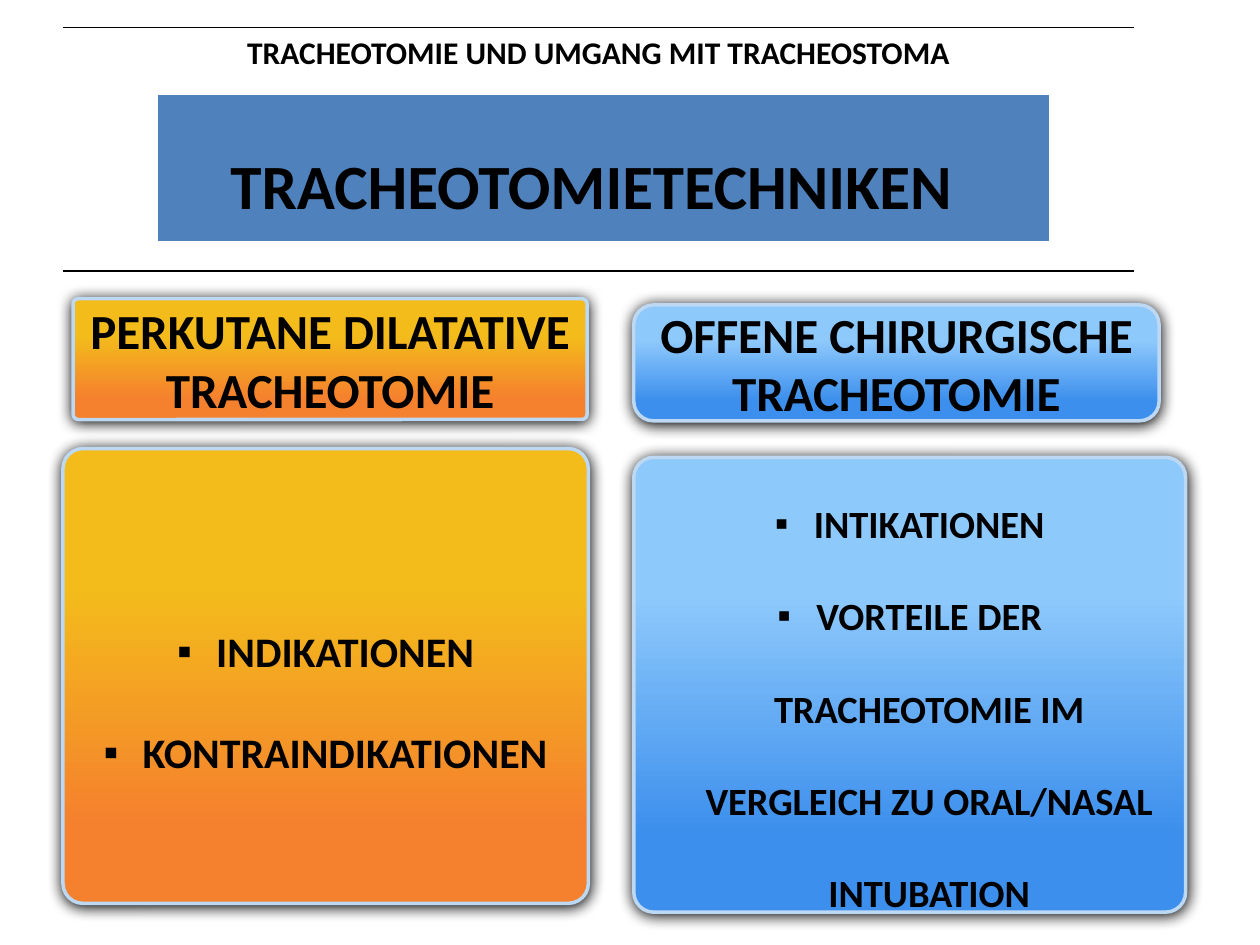
from lxml import etree
from pptx import Presentation
from pptx.dml.color import RGBColor
from pptx.enum.shapes import MSO_SHAPE as Shape
from pptx.enum.text import MSO_ANCHOR as Anchor, PP_ALIGN as Align
from pptx.oxml import parse_xml
from pptx.oxml.ns import nsdecls, qn
from pptx.util import Inches, Pt

BLACK, WHITE, BLUE, RIM = "000000", "FFFFFF", "4F81BD", "BDD8F3"
ORANGE_STOPS = ((0.17, "F5802D"), (0.70, "F3BC1B"))
BLUE_STOPS = ((0.17, "3C8FED"), (0.70, "8EC9FB"))


def colour(value):
    """Turn a hex string into a colour."""
    return RGBColor.from_string(value)


def style_text(para, text, size):
    """Write one centred, bold black paragraph."""
    para.text = text
    para.alignment = Align.CENTER
    for name, value in {"name": "Calibri", "size": Pt(size), "bold": True}.items():
        setattr(para.font, name, value)
    para.font.color.rgb = colour(BLACK)


def add_bullet(para):
    """Give a paragraph a square bullet with a hanging indent."""
    props = para._p.get_or_add_pPr()
    indent = Inches(0.31)
    props.set("marL", str(indent))
    props.set("indent", str(-indent))
    para.line_spacing = 2.0
    etree.SubElement(props, qn("a:buFont")).set("typeface", "Arial")
    etree.SubElement(props, qn("a:buChar")).set("char", "▪")


def add_shadow(box):
    """Give a shape a soft black shadow just below it."""
    box.shadow.inherit = False
    effects = box.element.spPr.find(qn("a:effectLst"))
    effects.append(parse_xml(
        f'<a:outerShdw {nsdecls("a")} blurRad="{Pt(8.5)}" dist="{Pt(1)}" '
        f'dir="5400000" rotWithShape="0"><a:srgbClr val="{BLACK}"/></a:outerShdw>'))


def add_panel(page, area, stops, lines, size, bulleted=False, corner=0.044):
    """Draw a rounded gradient panel with its text."""
    box = page.shapes.add_shape(Shape.ROUNDED_RECTANGLE, *map(Inches, area))
    box.adjustments[0] = corner
    box.fill.gradient()
    box.fill.gradient_angle = 90
    for stop, (position, shade) in zip(box.fill.gradient_stops, stops):
        stop.position = position
        stop.color.rgb = colour(shade)
    box.line.color.rgb = colour(RIM)
    box.line.width = Pt(2)
    add_shadow(box)
    frame = box.text_frame
    frame.word_wrap = True
    frame.vertical_anchor = Anchor.MIDDLE
    for index, line in enumerate(lines):
        para = frame.add_paragraph() if index else frame.paragraphs[0]
        if bulleted:
            add_bullet(para)
        style_text(para, line, size)


def add_cell_table(page, area, borders, fill=None):
    """Add a one-cell table with given borders and return its cell."""
    table = page.shapes.add_table(1, 1, *map(Inches, area)).table
    table.first_row = table.horz_banding = False
    cell = table.cell(0, 0)
    props = cell._tc.get_or_add_tcPr()
    for side in "LRTB":
        line = etree.SubElement(props, qn(f"a:ln{side}"))
        if side in borders:
            shade, width = borders[side]
            line.set("w", str(Pt(width)))
            solid = etree.SubElement(line, qn("a:solidFill"))
            etree.SubElement(solid, qn("a:srgbClr")).set("val", shade)
        else:
            etree.SubElement(line, qn("a:noFill"))
    if fill:
        cell.fill.solid()
        cell.fill.fore_color.rgb = colour(fill)
    else:
        cell.fill.background()
    return cell


def add_header(page, left, top, width, height):
    """Place the ruled header table over its blue band."""
    band_borders = {side: (WHITE, 1) for side in "LTR"} | {"B": (WHITE, 3)}
    band = (left + 0.75, top + 0.53, 7.08, 1.18)
    add_cell_table(page, band, band_borders, BLUE)
    rules = {side: (BLACK, 1) for side in "TB"}
    frame = add_cell_table(page, (left, top, width, height), rules).text_frame
    style_text(frame.paragraphs[0], "TRACHEOTOMIE UND UMGANG MIT TRACHEOSTOMA", 18)
    title = frame.add_paragraph()
    style_text(title, "TRACHEOTOMIETECHNIKEN ", 36)
    title.space_before = Pt(44)


def main():
    """Build and save the deck."""
    deck = Presentation()
    deck.slide_width, deck.slide_height = Inches(10), Inches(7.5)
    page = deck.slides.add_slide(deck.slide_layouts[6])
    add_panel(page, (5.03, 2.42, 4.17, 0.92), BLUE_STOPS,
              ["OFFENE CHIRURGISCHE TRACHEOTOMIE"], 28, corner=0.17)
    add_panel(page, (5.03, 3.63, 4.38, 3.61), BLUE_STOPS,
              ["INTIKATIONEN",
               "VORTEILE DER TRACHEOTOMIE IM VERGLEICH ZU ORAL/NASAL INTUBATION"],
              22, bulleted=True)
    add_panel(page, (0.5, 3.56, 4.17, 3.61), ORANGE_STOPS,
              ["INDIKATIONEN", "KONTRAINDIKATIONEN"], 24, bulleted=True)
    add_panel(page, (0.58, 2.37, 4.08, 0.96), ORANGE_STOPS,
              ["PERKUTANE DILATATIVE TRACHEOTOMIE"], 28)
    add_header(page, 0.5, 0.22, 8.5, 1.93)
    deck.save("out.pptx")


if __name__ == "__main__":
    main()
